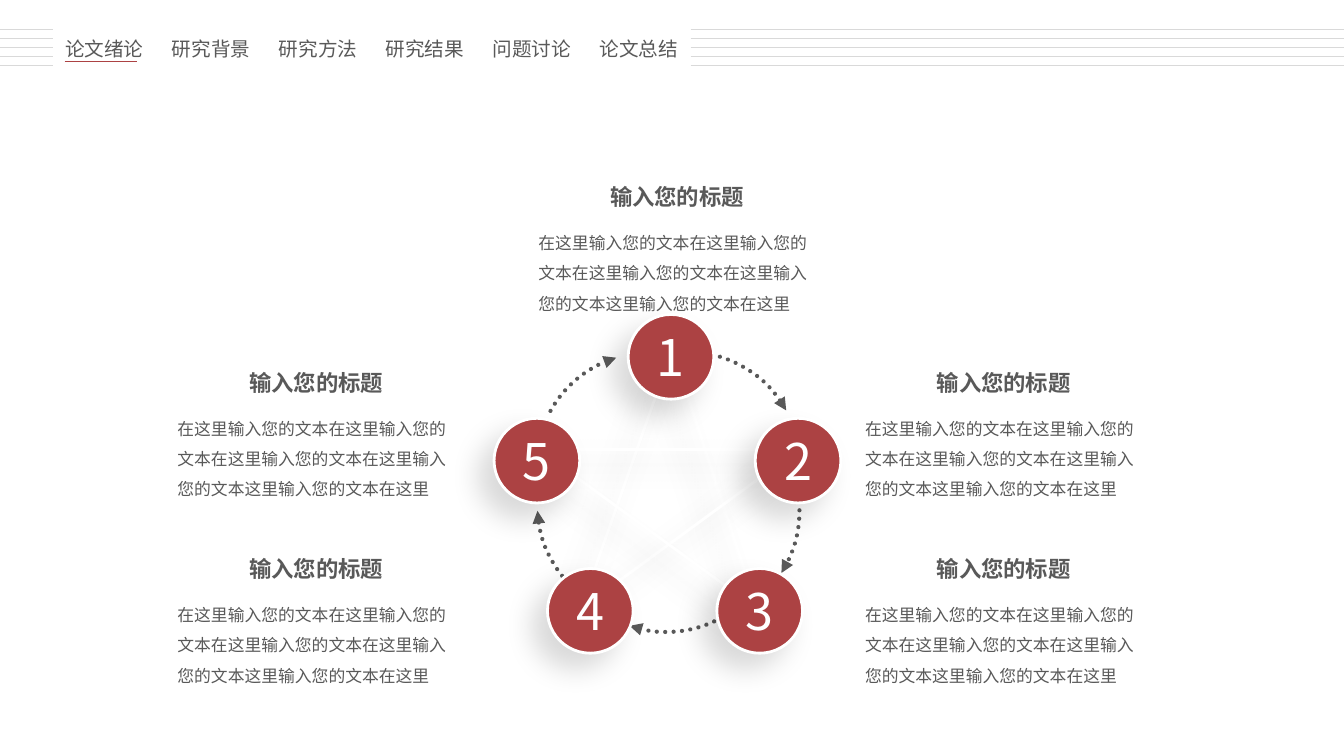
from dataclasses import dataclass
from itertools import combinations

from lxml import etree
from pptx import Presentation
from pptx.dml.color import RGBColor
from pptx.enum.dml import MSO_LINE
from pptx.enum.shapes import MSO_CONNECTOR, MSO_SHAPE
from pptx.enum.text import MSO_ANCHOR, MSO_AUTO_SIZE, PP_ALIGN
from pptx.oxml.ns import qn
from pptx.util import Emu, Pt

STRAIGHT = MSO_CONNECTOR.STRAIGHT
ARC, OVAL = MSO_SHAPE.ARC, MSO_SHAPE.OVAL
DOTTED = MSO_LINE.ROUND_DOT
MIDDLE = MSO_ANCHOR.MIDDLE
FIT_SHAPE = MSO_AUTO_SIZE.SHAPE_TO_FIT_TEXT
LEFT, CENTER = PP_ALIGN.LEFT, PP_ALIGN.CENTER
EMU_PER_PX = 9144


@dataclass(frozen=True)
class Theme:
    font: str = "Noto Sans CJK SC"
    accent: str = "AC4243"
    ink: str = "595959"
    rule: str = "D9D9D9"
    white: str = "FFFFFF"
    shadow: str = "000000"
    number_size: int = 36
    heading_size: int = 16
    nav_size: int = 14
    body_size: int = 12


THEME = Theme()
TABS = ["论文绪论", "研究背景", "研究方法", "研究结果", "问题讨论", "论文总结"]
HEADING = "输入您的标题"
BODY = "在这里输入您的文本在这里输入您的文本在这里输入您的文本在这里输入您的文本这里输入您的文本在这里"
NOTE_CORNERS = [(176, 354), (534, 170), (176, 539), (858, 354), (858, 539)]
DISC_CORNERS = [(133, 0), (259, 103), (221, 252), (53, 252), (0, 103)]
STAR_POINTS = [(177, 34), (302, 134), (261, 292), (86, 292), (44, 134)]
ARROW_ARCS = [(191, 150, 113, 287), (185, 194, 118, 348), (171, 203, 112, 65),
              (156, 189, 113, 133), (154, 150, 112, 209)]
ARROW_SWEEP = 44


def px(*lengths):
    return [Emu(length * EMU_PER_PX) for length in lengths]


def color(value):
    return RGBColor.from_string(value)


def add_soft_shadow(effects):
    shadow = etree.SubElement(effects, qn("a:outerShdw"), blurRad=str(Pt(20)), dist=str(Pt(15)),
                              dir=str(135 * 60000), algn="tr", rotWithShape="0")
    tint = etree.SubElement(shadow, qn("a:srgbClr"), val=THEME.shadow)
    etree.SubElement(tint, qn("a:alpha"), val="15000")


def add_line(page, start, end, tint, width):
    line = page.shapes.add_connector(STRAIGHT, *px(*start, *end))
    line.line.color.rgb = color(tint)
    line.line.width = Pt(width)
    return etree.SubElement(line.element.spPr, qn("a:effectLst"))


def write(frame, text, size, tint, align=LEFT, bold=False, spacing=None):
    para = frame.paragraphs[0]
    para.text = text
    para.alignment = align
    para.line_spacing = spacing
    span = para.runs[0]
    span.font.name = THEME.font
    span.font.size = Pt(size)
    span.font.bold = bold
    span.font.color.rgb = color(tint)
    etree.SubElement(span.font._element, qn("a:ea"), typeface=THEME.font)


def add_text(page, box, text, size, insets=None, wrap=True, **style):
    frame = page.shapes.add_textbox(*px(*box)).text_frame
    frame.word_wrap = wrap
    frame.auto_size = FIT_SHAPE
    if insets:
        (frame.margin_left, frame.margin_top,
         frame.margin_right, frame.margin_bottom) = px(*insets)
    write(frame, text, size, THEME.ink, **style)


def add_arrow(page, center_x, center_y, radius, start):
    arc = page.shapes.add_shape(ARC, *px(center_x - radius, center_y - radius, 2 * radius, 2 * radius))
    arc.adjustments[0] = start * 0.6
    arc.adjustments[1] = (start + ARROW_SWEEP) % 360 * 0.6
    arc.shadow.inherit = False
    arc.fill.background()
    arc.line.color.rgb = color(THEME.ink)
    arc.line.width = Pt(3)
    arc.line.dash_style = DOTTED
    stroke = arc.element.spPr.get_or_add_ln()
    stroke.set("cap", "rnd")
    etree.SubElement(stroke, qn("a:tailEnd"), type="triangle")


def add_disc(page, left, top, number):
    disc = page.shapes.add_shape(OVAL, *px(left, top, 85, 84))
    disc.shadow.inherit = False
    add_soft_shadow(disc.element.spPr.find(qn("a:effectLst")))
    disc.fill.solid()
    disc.fill.fore_color.rgb = color(THEME.accent)
    disc.line.color.rgb = color(THEME.white)
    disc.line.width = Pt(2)
    disc.text_frame.vertical_anchor = MIDDLE
    write(disc.text_frame, str(number), THEME.number_size, THEME.white, align=CENTER)


def add_ring(page, left, top):
    for x, y, radius, start in ARROW_ARCS:
        add_arrow(page, left + x, top + y, radius, start)
    points = [(left + x, top + y) for x, y in STAR_POINTS]
    for first, second in combinations(range(len(points)), 2):
        if second - first in (2, 3):
            add_soft_shadow(add_line(page, points[first], points[second], THEME.white, 2))
    for number, (x, y) in enumerate(DISC_CORNERS, 1):
        add_disc(page, left + x, top + y, number)


def add_note(page, left, top):
    add_text(page, (left + 43, top, 189, 43), HEADING, THEME.heading_size,
             insets=(7, 4, 7, 4), align=CENTER, bold=True, spacing=1.3)
    add_text(page, (left, top + 51, 275, 91), BODY, THEME.body_size,
             insets=(0, 0, 0, 0), spacing=1.5)


def add_navigation(page, left, top, width):
    for row in range(5):
        y = top + 9 * row
        add_line(page, (left, y), (left + 53, y), THEME.rule, 0.5)
        add_line(page, (left + 685, y), (left + width, y), THEME.rule, 0.5)
    for index, tab in enumerate(TABS):
        add_text(page, (left + 54 + 106 * index, top + 3, 99, 34), tab, THEME.nav_size,
                 wrap=False, align=CENTER)
    add_line(page, (left + 64, top + 32), (left + 136, top + 32), THEME.accent, 0.5)


def main():
    deck = Presentation()
    deck.slide_width, deck.slide_height = px(1333, 750)
    page = deck.slides.add_slide(deck.slide_layouts[6])
    add_ring(page, 490, 312)
    for left, top in NOTE_CORNERS:
        add_note(page, left, top)
    add_navigation(page, 0, 29, 1333)
    deck.save("out.pptx")


if __name__ == "__main__":
    main()
